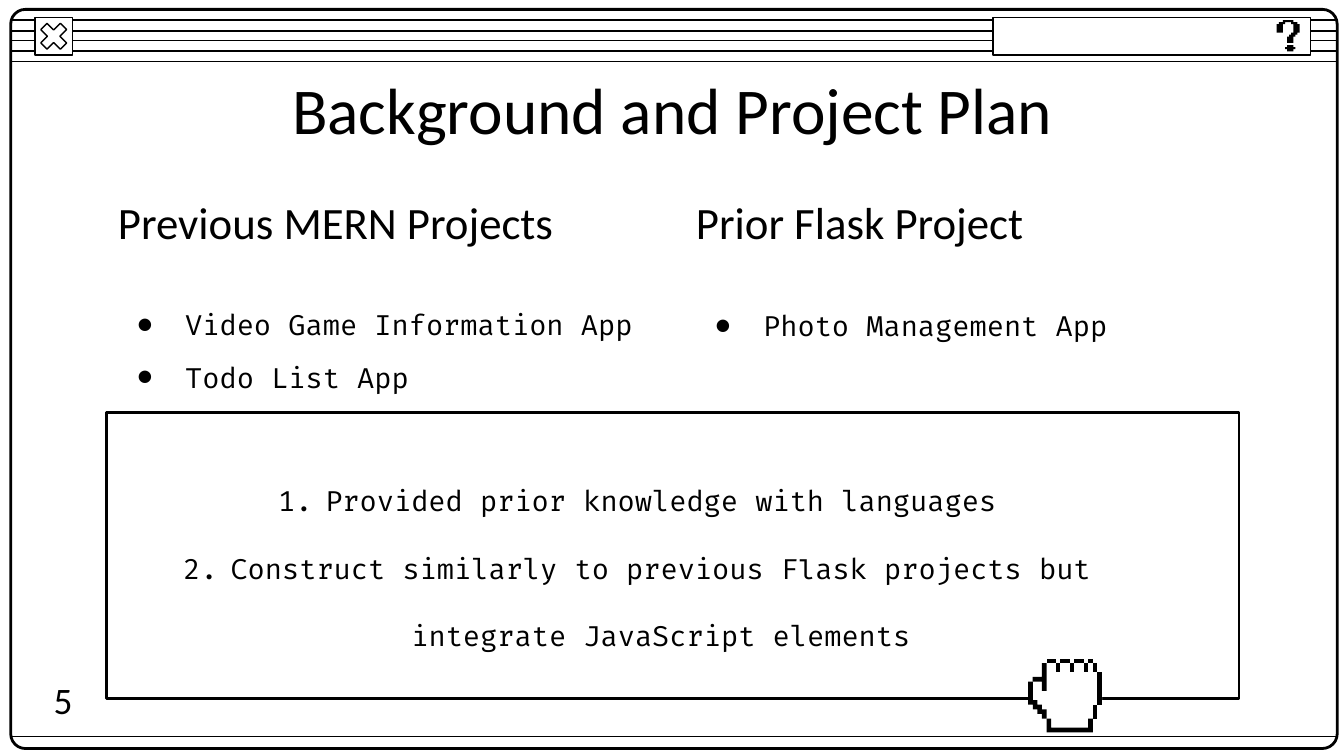
"""Build the background and project plan slide with its retro window frame."""
from lxml import etree
from pptx import Presentation
from pptx import util as u
from pptx.dml import color
from pptx.enum import shapes, text
from pptx.oxml import ns

HUES = {"ink": "000000", "paper": "FFFFFF"}
RGB = {name: color.RGBColor.from_string(code) for name, code in HUES.items()}
KINDS = shapes.MSO_SHAPE
MID, TOP = text.MSO_ANCHOR.MIDDLE, text.MSO_ANCHOR.TOP
LEFT, MID_X = text.PP_ALIGN.LEFT, text.PP_ALIGN.CENTER

deck = Presentation()
deck.slide_width = u.Inches(10)
deck.slide_height = u.Inches(10 * 9 / 16)
slide = deck.slides.add_slide(deck.slide_layouts[6])
slide.background.fill.solid()
slide.background.fill.fore_color.rgb = RGB["paper"]
items = slide.shapes


def write(box, rows, size, face, align=LEFT, anchor=MID, mark=None, scale=100, para=None):
    """Add a text box, with list marks when a mark is given."""
    frame = items.add_textbox(*map(u.Inches, box)).text_frame
    pad = u.Inches(0.1)
    form = {"word_wrap": True, "vertical_anchor": anchor, "margin_left": pad,
            "margin_right": pad, "margin_top": pad, "margin_bottom": pad}
    for key, value in form.items():
        setattr(frame, key, value)
    for i, row in enumerate(rows):
        line = frame.add_paragraph() if i else frame.paragraphs[0]
        line.text = row
        line.alignment = align
        for key, value in (para or {}).items():
            if i or key != "space_before":
                setattr(line, key, value)
        font = line.runs[0].font
        for key, value in {"size": u.Pt(size), "name": face}.items():
            setattr(font, key, value)
        font.color.rgb = RGB["ink"]
        if mark:
            props = line._p.get_or_add_pPr()
            props.set("marL", str(u.Inches(0.5)))
            props.set("indent", str(u.Inches(-0.35)))
            hue = etree.SubElement(props, ns.qn("a:buClr"))
            etree.SubElement(hue, ns.qn("a:srgbClr"), val=HUES["ink"])
            etree.SubElement(props, ns.qn("a:buSzPct"), val=str(scale * 1000))
            etree.SubElement(props, ns.qn("a:buFont"), typeface=face)
            tag, key, value = mark
            etree.SubElement(props, ns.qn(tag), {key: value})


def trace(left, top, cell, steps, hue):
    """Draw a right-angled outline: a start point, then y and x in turn."""
    x, y, *turns = steps
    pen = items.build_freeform(x, y, scale=cell)
    spots = []
    for i, turn in enumerate(turns):
        x, y = (turn, y) if i % 2 else (x, turn)
        spots.append((x, y))
    pen.add_line_segments(spots, close=True)
    part = pen.convert_to_shape(u.Inches(left), u.Inches(top))
    part.fill.solid()
    part.fill.fore_color.rgb = RGB[hue]
    part.line.fill.background()
    part.shadow.inherit = False


for y in (0.15, 0.23, 0.3, 0.38, 0.46, 5.48):
    rule = items.add_connector(shapes.MSO_CONNECTOR.STRAIGHT, u.Inches(0.08),
                               u.Inches(y), u.Inches(9.95), u.Inches(y))
    rule.line.color.rgb = RGB["ink"]
    rule.line.width = u.Pt(0.75)
    etree.SubElement(rule._element.spPr, ns.qn("a:effectLst"))

panels = [
    (KINDS.ROUNDED_RECTANGLE, (0.08, 0.07, 9.87, 5.5), 0.02, None, 1.5),
    (KINDS.RECTANGLE, (0.26, 0.13, 0.28, 0.28), None, "paper", 0.75),
    (KINDS.MATH_MULTIPLY, (0.26, 0.13, 0.28, 0.28), 0.235, "paper", 0.75),
    (KINDS.RECTANGLE, (7.39, 0.13, 2.36, 0.28), None, "paper", 0.75),
    (KINDS.RECTANGLE, (0.79, 3.07, 8.43, 2.13), None, None, 1.5),
]
for kind, box, bend, hue, width in panels:
    panel = items.add_shape(kind, *map(u.Inches, box))
    panel.shadow.inherit = False
    if bend:
        panel.adjustments[0] = bend
    if hue:
        panel.fill.solid()
        panel.fill.fore_color.rgb = RGB[hue]
    else:
        panel.fill.background()
    panel.line.color.rgb = RGB["ink"]
    panel.line.width = u.Pt(width)

dot = (5, 12, 13, 4, 14, 5, 15, 8, 14, 9, 13, 8, 12)
hook = (3, 0, 1, 1, 2, 0, 6, 3, 2, 4, 1, 7, 2, 8, 6, 7, 7, 6, 8, 5, 11,
        8, 8, 9, 7, 10, 6, 11, 2, 10, 1, 8, 0)
for steps in (dot, hook):
    trace(9.5, 0.15, u.Inches(0.17) / 11, steps, "ink")

write((0.79, 0.49, 8.43, 0.63), ["Background and Project Plan"], 35, "Calibri", MID_X)
columns = [
    (0.78, 4.14, 2.06, "Previous MERN Projects",
     ["Video Game Information App", "Todo List App"]),
    (5.08, 4.92, 1.68, "Prior Flask Project", ["Photo Management App"]),
]
for x, width, height, head, apps in columns:
    write((x, 1.58, width, height), apps, 15, "Fira Code",
          mark=("a:buChar", "char", "●"), scale=80, para={"space_before": u.Pt(10)})
    write((x, 1.37, 4.14, 0.55), [head], 24, "Calibri")
goals = ["Provided prior knowledge with languages",
         "Construct similarly to previous Flask projects but integrate JavaScript elements"]
write((0.63, 3.25, 8.08, 1.95), goals, 15, "Fira Code", MID_X, TOP,
      mark=("a:buAutoNum", "type", "arabicPeriod"), para={"line_spacing": 2.0})
write((0.16, 4.94, 0.62, 0.54), ["5"], 20, "Calibri", MID_X, TOP)

palm = (4, 0, 1, 3, 4, 1, 5, 0, 10, 1, 11, 2, 12, 3, 13, 4, 16, 14, 13, 15, 10,
        16, 3, 15, 1, 14, 0, 13, 1, 12, 0, 10, 1, 9, 0, 7, 1, 6, 0)
cuff = (4, 13, 16, 14, 13, 13, 15, 5, 13)
thumb = (3, 1, 4, 1, 5, 3, 7, 4, 1)
heel = (0, 5, 10, 1, 11, 2, 12, 3, 13, 4, 11, 3, 10, 2, 9, 1, 5)
gaps = [(x, 1, 3, x + 1, 1) for x in (6, 9, 12, 14)]
tips = [(x, 0, 1, end, 0) for x, end in ((4, 6), (7, 9), (10, 12), (13, 14))]
side = [(15, 3, 10, 16, 3), (14, 10, 13, 15, 10)]
for i, steps in enumerate([palm, cuff, thumb, heel, *gaps, *tips, *side]):
    trace(7.65, 4.9, u.Inches(0.55) / 16, steps, "ink" if i else "paper")

deck.save("out.pptx")
